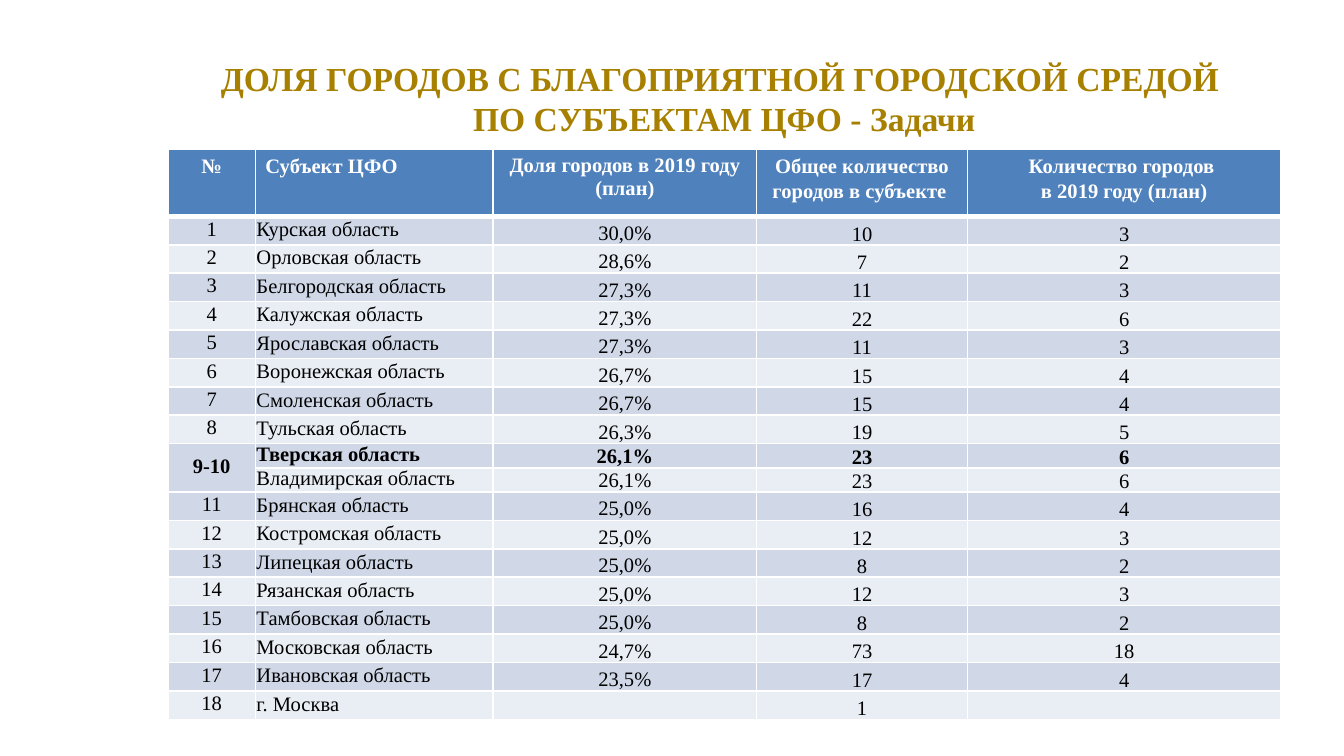
from lxml import etree
from pptx import Presentation
from pptx.dml.color import RGBColor
from pptx.enum.text import MSO_ANCHOR, MSO_AUTO_SIZE, PP_ALIGN
from pptx.oxml.ns import qn
from pptx.util import Inches, Pt

TOP, MIDDLE, BOTTOM = MSO_ANCHOR.TOP, MSO_ANCHOR.MIDDLE, MSO_ANCHOR.BOTTOM
LEFT, CENTER = PP_ALIGN.LEFT, PP_ALIGN.CENTER
NO_AUTOFIT = MSO_AUTO_SIZE.NONE

TITLE = "ДОЛЯ ГОРОДОВ С БЛАГОПРИЯТНОЙ ГОРОДСКОЙ СРЕДОЙ \nПО СУБЪЕКТАМ ЦФО - Задачи"
HEADERS = ("№", "Субъект ЦФО", "Доля городов в 2019 году (план)",
           "Общее количество городов в субъекте ",
           "Количество городов \nв 2019 году (план)")
REGIONS = [
    ("1", "Курская область", "30,0%", "10", "3"),
    ("2", "Орловская область", "28,6%", "7", "2"),
    ("3", "Белгородская область", "27,3%", "11", "3"),
    ("4", "Калужская область", "27,3%", "22", "6"),
    ("5", "Ярославская область", "27,3%", "11", "3"),
    ("6", "Воронежская область", "26,7%", "15", "4"),
    ("7", "Смоленская область", "26,7%", "15", "4"),
    ("8", "Тульская область", "26,3%", "19", "5"),
    ("9-10", "Тверская область", "26,1%", "23", "6"),
    ("", "Владимирская область", "26,1%", "23", "6"),
    ("11", "Брянская область", "25,0%", "16", "4"),
    ("12", "Костромская область", "25,0%", "12", "3"),
    ("13", "Липецкая область", "25,0%", "8", "2"),
    ("14", "Рязанская область", "25,0%", "12", "3"),
    ("15", "Тамбовская область", "25,0%", "8", "2"),
    ("16", "Московская область", "24,7%", "73", "18"),
    ("17", "Ивановская область", "23,5%", "17", "4"),
    ("18", "г. Москва", "", "1", ""),
]
SHARED_ROW = 9
NUMBER, REGION, SHARE = 0, 1, 2
SLIDE_WIDTH = 10
SLIDE_HEIGHT = SLIDE_WIDTH * 9 / 16
COLUMN_WIDTHS = (0.65, 1.77, 1.96, 1.57, 2.33)
HEADER_HEIGHT, ROW_HEIGHT, SHARED_HEIGHT = 0.5, 0.21, 0.18
CONTENT_LEFT, CONTENT_WIDTH = 1.25, sum(COLUMN_WIDTHS)
WIDE_INSETS, TIGHT_INSETS = (5.4, 2.7, 5.4, 2.7), (0.6, 0.6, 0.6, 0)
FONT = "Times New Roman"
GOLD, BLUE, WHITE, BLACK = "A88000", "4F81BD", "FFFFFF", "000000"
BANDS = ("E9EDF4", "D0D8E8")


def rgb(color):
    return RGBColor.from_string(color)


def set_insets(target, insets):
    target.margin_left, target.margin_top, target.margin_right, target.margin_bottom = map(Pt, insets)


def format_text(frame, size, color, bold, align, spacing):
    for paragraph in frame.paragraphs:
        paragraph.alignment = align
        paragraph.line_spacing = spacing
        for run in paragraph.runs:
            run.font.name = FONT
            run.font.size = Pt(size)
            run.font.bold = bold
            run.font.color.rgb = rgb(color)
        if not paragraph.runs:
            etree.SubElement(paragraph._p, qn("a:endParaRPr"), sz=str(size * 100))


def set_borders(cell, widths):
    properties = cell._tc.get_or_add_tcPr()
    for side, width in zip("LRTB", widths):
        line = etree.SubElement(properties, qn(f"a:ln{side}"), w=str(int(Pt(width))))
        fill = etree.SubElement(line, qn("a:solidFill"))
        etree.SubElement(fill, qn("a:srgbClr"), val=WHITE)


def number_anchor(row):
    if row < SHARED_ROW:
        return BOTTOM
    return MIDDLE if row <= SHARED_ROW + 1 else TOP


def fill_cell(cell, row, column, text):
    header = row == 0
    set_borders(cell, (1, 1, 3 if row == 1 else 1, 3 if header else 1))
    cell.fill.solid()
    cell.fill.fore_color.rgb = rgb(BLUE if header else BANDS[row % 2])
    cell.text_frame.text = text
    wide = header or (column == NUMBER and text)
    set_insets(cell, WIDE_INSETS if wide else TIGHT_INSETS)
    if header:
        cell.vertical_anchor = TOP
    elif column == NUMBER:
        cell.vertical_anchor = number_anchor(row)
    else:
        cell.vertical_anchor = MIDDLE if column == REGION else BOTTOM
    spacing = 1.0 if column == SHARE else Pt(13) if header else 0.8
    format_text(cell.text_frame, 11, WHITE if header else BLACK,
                header or row == SHARED_ROW, LEFT if column == REGION else CENTER, spacing)


presentation = Presentation()
presentation.slide_width, presentation.slide_height = Inches(SLIDE_WIDTH), Inches(SLIDE_HEIGHT)
slide = presentation.slides.add_slide(presentation.slide_layouts[5])

title = slide.shapes.title
title.left, title.top = Inches(CONTENT_LEFT), Inches(0.39)
title.width, title.height = Inches(CONTENT_WIDTH), Inches(0.51)
title_frame = title.text_frame
title_frame.text = TITLE
title_frame.word_wrap = True
title_frame.auto_size = NO_AUTOFIT
title_frame.vertical_anchor = TOP
set_insets(title_frame, WIDE_INSETS)
format_text(title_frame, 18, GOLD, True, CENTER, 1.0)

rows = [HEADERS, *REGIONS]
heights = [HEADER_HEIGHT] + [ROW_HEIGHT] * len(REGIONS)
heights[SHARED_ROW:SHARED_ROW + 2] = [SHARED_HEIGHT] * 2
table = slide.shapes.add_table(
    len(rows), len(HEADERS), Inches(CONTENT_LEFT), Inches(1.11),
    Inches(CONTENT_WIDTH), Inches(sum(heights))).table
for column, width in zip(table.columns, COLUMN_WIDTHS):
    column.width = Inches(width)
for table_row, height in zip(table.rows, heights):
    table_row.height = Inches(height)
for row, values in enumerate(rows):
    for column, text in enumerate(values):
        fill_cell(table.cell(row, column), row, column, text)
table.cell(SHARED_ROW, NUMBER).merge(table.cell(SHARED_ROW + 1, NUMBER))

presentation.save("out.pptx")
